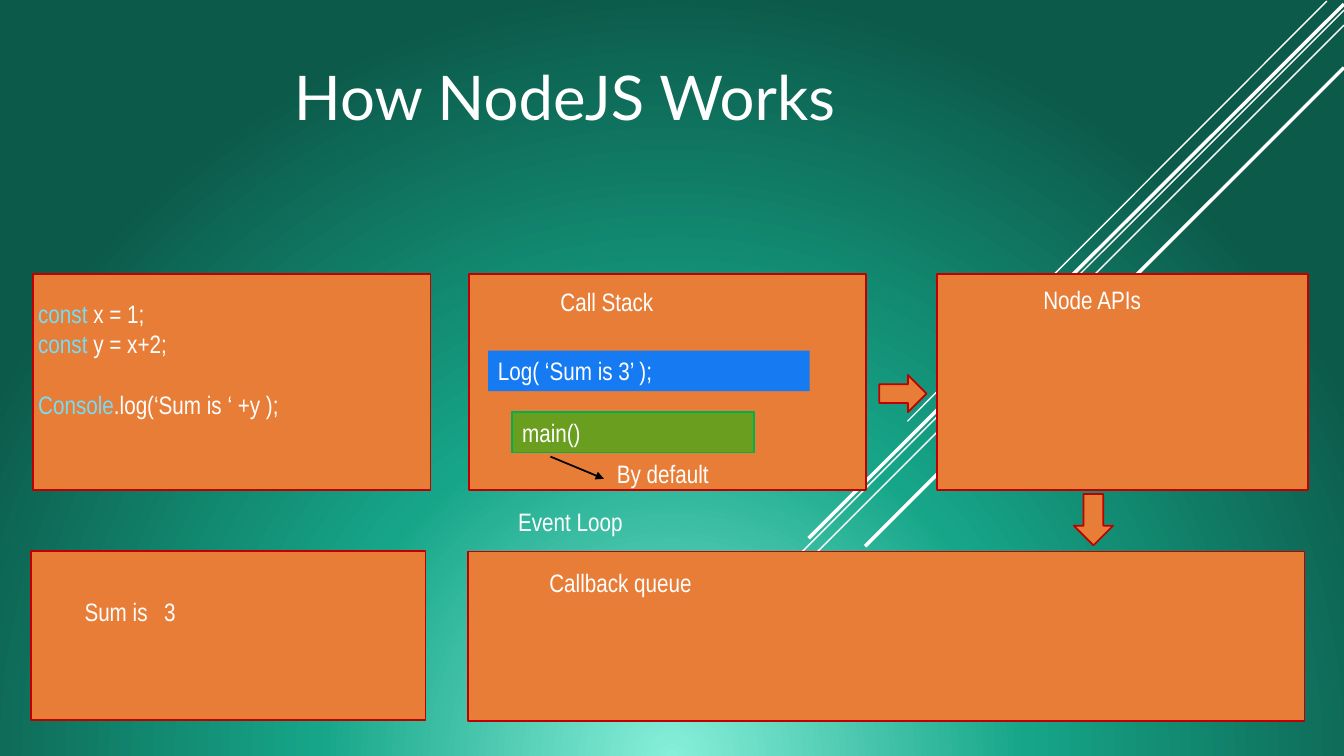
from dataclasses import dataclass
from typing import Optional

from lxml import etree
from pptx import Presentation
from pptx.dml.color import RGBColor
from pptx.enum.shapes import MSO_CONNECTOR as Link, MSO_SHAPE as Form
from pptx.enum.text import MSO_ANCHOR as Anchor, MSO_AUTO_SIZE as Fit, PP_ALIGN as Align
from pptx.oxml import parse_xml
from pptx.oxml.ns import nsdecls, qn
from pptx.util import Inches, Pt

WHITE = RGBColor(0xFF, 0xFF, 0xFF)
BLACK = RGBColor(0, 0, 0)
ORANGE = RGBColor(0xE8, 0x7D, 0x37)
RED = RGBColor(0xC0, 0, 0)
LIME = RGBColor(0x6A, 0x9E, 0x1F)
GREEN = RGBColor(0, 0xB0, 0x50)
BLUE = RGBColor(0x16, 0x7B, 0xF3)
CYAN = RGBColor(0x76, 0xDB, 0xF4)
MINT = RGBColor(0x87, 0xEF, 0xDA)
TEAL = RGBColor(0x16, 0xA5, 0x88)
PINE = RGBColor(0x0C, 0x5A, 0x4A)

BODY = {"name": "Arial Narrow", "size": Pt(18)}
HEAD = {"name": "Lato", "size": Pt(44)}
ROW = 0.4


@dataclass
class Box:
    left: float
    top: float
    width: float
    height: float
    form: Form = Form.RECTANGLE
    fill: RGBColor = ORANGE
    edge: Optional[RGBColor] = RED
    text: str = ""


@dataclass
class Label:
    text: str
    left: float
    top: float
    width: float = 1.56


@dataclass
class Line:
    x1: float
    y1: float
    x2: float
    y2: float
    width: float = 1


RAYS = [
    Line(13.16, 0.01, 9, 4.18),
    Line(13.33, 0.1, 6.68, 6.75),
    Line(13.33, 0.25, 7.91, 5.67),
    Line(13.33, 0.04, 8.02, 5.34, 2.5),
    Line(13.33, 0.67, 8.58, 5.42, 2.5),
]
BOXES = [
    Box(4.65, 2.72, 3.94, 2.14),
    Box(9.29, 2.72, 3.68, 2.14),
    Box(0.31, 5.47, 3.91, 1.67),
    Box(4.64, 5.47, 8.3, 1.68),
    Box(0.33, 2.72, 3.94, 2.14),
    Box(8.72, 3.72, 0.47, 0.37, Form.RIGHT_ARROW),
    Box(10.65, 4.9, 0.39, 0.51, Form.DOWN_ARROW),
    Box(5.08, 4.09, 2.4, ROW, fill=LIME, edge=GREEN, text="main()"),
    Box(4.84, 3.48, 3.19, ROW, fill=BLUE, edge=None, text="Log( ‘Sum is 3’ );"),
]
LABELS = [
    Label("Call Stack", 5.46, 2.79),
    Label("Node APIs", 10.25, 2.77),
    Label("Callback queue", 5.35, 5.58, 1.85),
    Label("Event Loop", 5.04, 4.97),
    Label("By default", 6.02, 4.5),
]
# Keyword, rest of the line, points of space before
CODE = [
    ("const", " x = 1;", 0),
    ("const", " y = x+2;", 0),
    ("Console", ".log(‘Sum is ‘ +y );", 21.5),
]


def style(font, form: dict, color: RGBColor) -> None:
    for key, value in form.items():
        setattr(font, key, value)
    font.color.rgb = color


def write(par, text: str, color: RGBColor = WHITE, form: dict = BODY) -> None:
    run = par.add_run()
    run.text = text
    style(run.font, form, color)


def add_box(slide, box: Box) -> None:
    shape = slide.shapes.add_shape(
        box.form, *map(Inches, (box.left, box.top, box.width, box.height)))
    shape.shadow.inherit = False
    shape.fill.solid()
    shape.fill.fore_color.rgb = box.fill
    if box.edge is None:
        shape.line.fill.background()
    else:
        shape.line.color.rgb = box.edge
        shape.line.width = Pt(1.25)
    if box.text:
        frame = shape.text_frame
        frame.vertical_anchor = Anchor.TOP
        frame.auto_size = Fit.SHAPE_TO_FIT_TEXT
        par = frame.paragraphs[0]
        par.alignment = Align.LEFT
        write(par, box.text)


def add_frame(slide, left: float, top: float, width: float, height: float = ROW):
    frame = slide.shapes.add_textbox(*map(Inches, (left, top, width, height))).text_frame
    frame.word_wrap = True
    frame.auto_size = Fit.SHAPE_TO_FIT_TEXT
    return frame


def add_line(slide, line: Line, color: RGBColor):
    link = slide.shapes.add_connector(
        Link.STRAIGHT, *map(Inches, (line.x1, line.y1, line.x2, line.y2)))
    link.line.color.rgb = color
    link.line.width = Pt(line.width)
    etree.SubElement(link._element.spPr, qn("a:effectLst"))
    return link


def paint(slide) -> None:
    stops = "".join(
        f'<a:gs pos="{pos * 1000}"><a:srgbClr val="{color}"/></a:gs>'
        for pos, color in ((0, MINT), (46, TEAL), (100, PINE)))
    slide._element.cSld.insert(0, parse_xml(
        f'<p:bg {nsdecls("p", "a")}><p:bgPr><a:gradFill rotWithShape="1">'
        f'<a:gsLst>{stops}</a:gsLst><a:path path="circle">'
        '<a:fillToRect l="50000" t="130000" r="50000" b="-30000"/></a:path>'
        '</a:gradFill><a:effectLst/></p:bgPr></p:bg>'))


def main() -> None:
    deck = Presentation()
    deck.slide_width, deck.slide_height = Inches(13.33), Inches(7.5)
    slide = deck.slides.add_slide(deck.slide_layouts[0])
    sub = slide.placeholders[1]._element
    sub.getparent().remove(sub)

    # Background and slanted rays
    paint(slide)
    for ray in RAYS:
        add_line(slide, ray, WHITE)

    # Title
    title = slide.shapes.title
    place = {"left": 0.87, "top": 0.53, "width": 9.46, "height": 0.84}
    for key, value in place.items():
        setattr(title, key, Inches(value))
    frame = title.text_frame
    frame.vertical_anchor = Anchor.BOTTOM
    frame.auto_size = Fit.NONE
    par = frame.paragraphs[0]
    par.alignment = Align.CENTER
    write(par, "How NodeJS Works", form=HEAD)

    # Panels, block arrows and stack calls
    for box in BOXES:
        add_box(slide, box)

    # Labels
    for label in LABELS:
        frame = add_frame(slide, label.left, label.top, label.width)
        write(frame.paragraphs[0], label.text)

    # Source code
    frame = add_frame(slide, 0.28, 2.91, 3.91, 1.62)
    for num, (word, rest, gap) in enumerate(CODE):
        par = frame.add_paragraph() if num else frame.paragraphs[0]
        if gap:
            par.space_before = Pt(gap)
        write(par, word, CYAN)
        write(par, rest)

    # Output, with the value on a tab stop
    par = add_frame(slide, 0.74, 5.87, 1.56).paragraphs[0]
    tabs = etree.SubElement(par._p.get_or_add_pPr(), qn("a:tabLst"))
    etree.SubElement(tabs, qn("a:tab"), pos=str(Inches(0.79)), algn="l")
    write(par, "Sum is\t3")

    # Pointer from main() to its note
    note = add_line(slide, Line(5.46, 4.53, 5.99, 4.75, 1.25), BLACK)
    etree.SubElement(note.line._get_or_add_ln(), qn("a:tailEnd"), type="triangle")

    deck.save("out.pptx")


if __name__ == "__main__":
    main()
